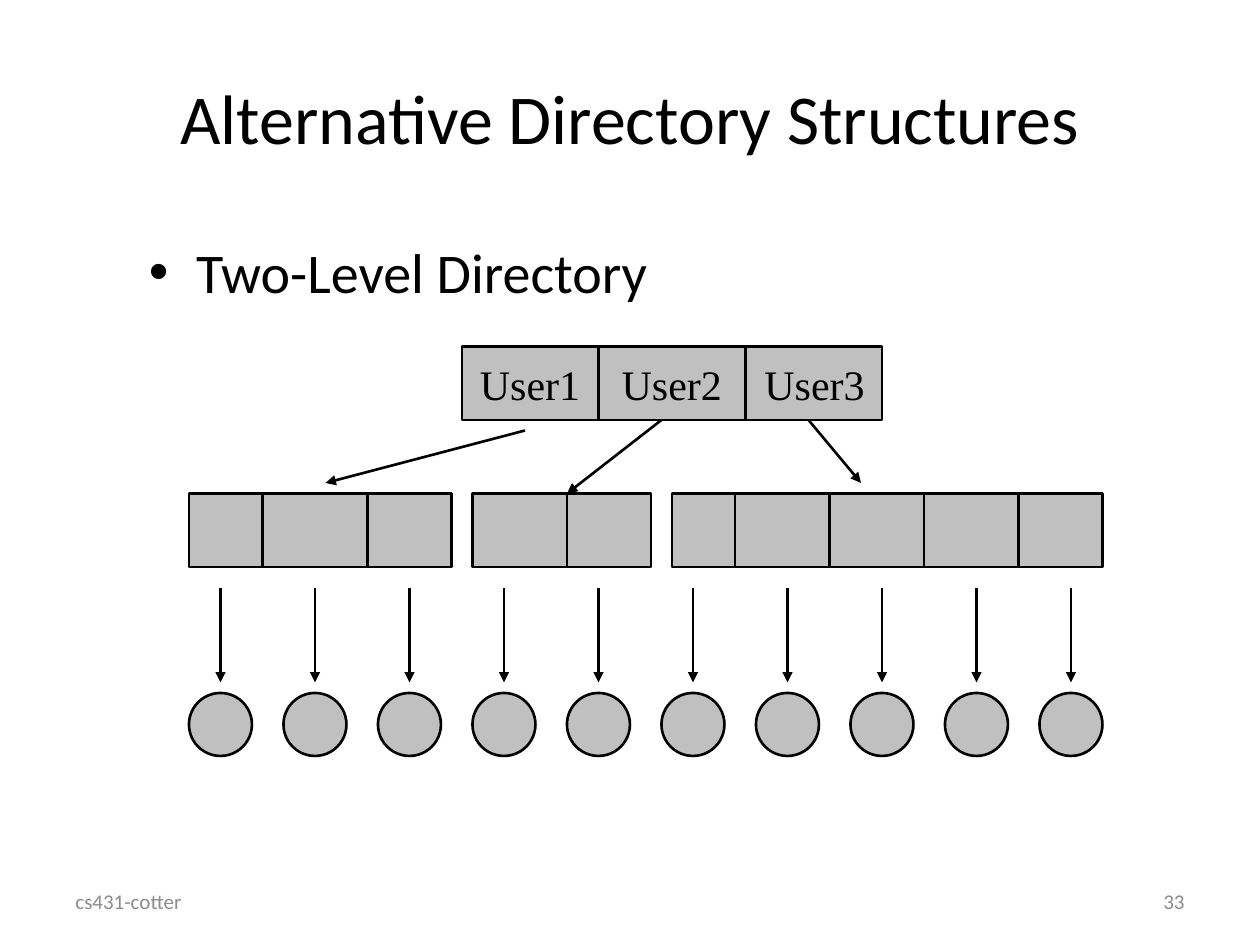
"""Build a slide that shows a two-level directory tree."""
from pptx import Presentation
from pptx.dml.color import RGBColor
from pptx.enum.shapes import MSO_CONNECTOR as Connector, MSO_SHAPE as Shape
from pptx.enum.text import MSO_ANCHOR as Anchor, PP_ALIGN as Align
from pptx.oxml.ns import qn
from pptx.util import Pt
from lxml.etree import SubElement

EMU_PER_PX = 7620
COLORS = {"ink": "000000", "fill": "C0C0C0", "footer": "8C8C8C"}


def px(length):
    return length * EMU_PER_PX


def color(name):
    return RGBColor.from_string(COLORS[name])


class SlideBuilder:
    def __init__(self, slide, font="Calibri", line_width=1.5):
        self.slide = slide
        self.font = font
        self.line_width = Pt(line_width)

    def add_run(self, paragraph, text, size, ink="ink", font=None):
        run = paragraph.add_run()
        run.text = text
        run.font.name = font or self.font
        run.font.size = Pt(size)
        run.font.color.rgb = color(ink)

    def text(self, box, text, size, ink="ink", align=Align.LEFT, anchor=Anchor.MIDDLE):
        frame = self.slide.shapes.add_textbox(*map(px, box)).text_frame
        frame.word_wrap = True
        frame.vertical_anchor = anchor
        paragraph = frame.paragraphs[0]
        paragraph.alignment = align
        self.add_run(paragraph, text, size, ink)
        return paragraph

    def bullet(self, box, text, size, indent):
        paragraph = self.text(box, text, size, anchor=Anchor.TOP)
        properties = paragraph._p.get_or_add_pPr()
        properties.set("marL", str(px(indent)))
        properties.set("indent", str(px(-indent)))
        SubElement(properties, qn("a:buFont"), typeface="Arial")
        SubElement(properties, qn("a:buChar"), char="•")

    def shape(self, kind, box):
        shape = self.slide.shapes.add_shape(kind, *map(px, box))
        shape.shadow.inherit = False
        shape.fill.solid()
        shape.fill.fore_color.rgb = color("fill")
        shape.line.color.rgb = color("ink")
        shape.line.width = self.line_width
        return shape

    def labels(self, shape, names, size, font, inset, tab_stops):
        frame = shape.text_frame
        frame.margin_left = px(inset)
        frame.margin_right = 0
        frame.vertical_anchor = Anchor.MIDDLE
        paragraph = frame.paragraphs[0]
        paragraph.alignment = Align.LEFT
        tabs = SubElement(paragraph._p.get_or_add_pPr(), qn("a:tabLst"))
        for stop in tab_stops:
            SubElement(tabs, qn("a:tab"), pos=str(px(stop)), algn="l")
        self.add_run(paragraph, "\t".join(names), size, font=font)

    def line(self, start, end, arrow=False):
        line = self.slide.shapes.add_connector(
            Connector.STRAIGHT, *map(px, (*start, *end)))
        line.line.color.rgb = color("ink")
        line.line.width = self.line_width
        if arrow:
            SubElement(line.line._get_or_add_ln(), qn("a:tailEnd"), type="triangle")
        SubElement(line._element.spPr, qn("a:effectLst"))

    def table(self, left, top, width, height, dividers):
        shape = self.shape(Shape.RECTANGLE, (left, top, width, height))
        for x in dividers:
            self.line((x, top), (x, top + height))
        return shape


def main():
    presentation = Presentation()
    presentation.slide_width = px(1200)
    presentation.slide_height = px(900)
    builder = SlideBuilder(presentation.slides.add_slide(presentation.slide_layouts[6]))

    builder.text((60, 834, 280, 48), "cs431-cotter", 12, "footer")
    builder.text((860, 834, 280, 48), "33", 12, "footer", Align.RIGHT)
    builder.text((60, 36, 1080, 150), "Alternative Directory Structures", 40,
                 align=Align.CENTER)
    builder.bullet((130, 220, 1020, 540), "Two-Level Directory", 32, 45)

    for x in range(210, 1021, 90):
        builder.shape(Shape.OVAL, (x - 30, 660, 60, 60))
        builder.line((x, 560), (x, 650), arrow=True)

    user_directories = [
        (180, 250, (250, 350)),
        (450, 170, (540,)),
        (640, 410, range(700, 971, 90)),
    ]
    for left, width, dividers in user_directories:
        builder.table(left, 470, width, 70, dividers)

    master_directory = builder.table(440, 330, 400, 70, (570, 710))
    builder.labels(master_directory, ("User1", "User2", "User3"), 24,
                   "Times New Roman", 17, (135, 271))

    user_arrows = [
        ((500, 410), (310, 460)),
        ((630, 400), (540, 470)),
        ((770, 400), (820, 460)),
    ]
    for start, end in user_arrows:
        builder.line(start, end, arrow=True)

    presentation.save("out.pptx")


if __name__ == "__main__":
    main()
